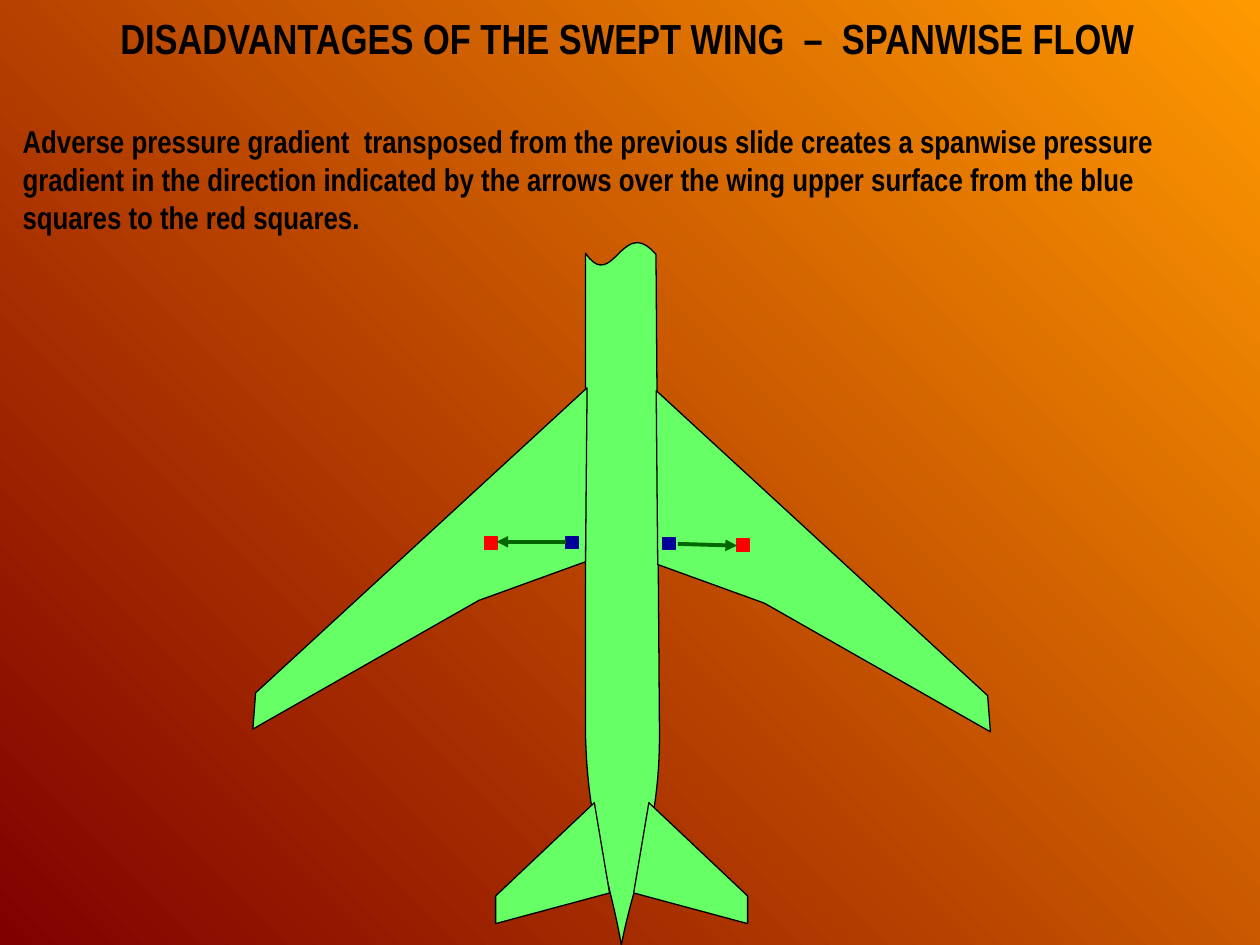
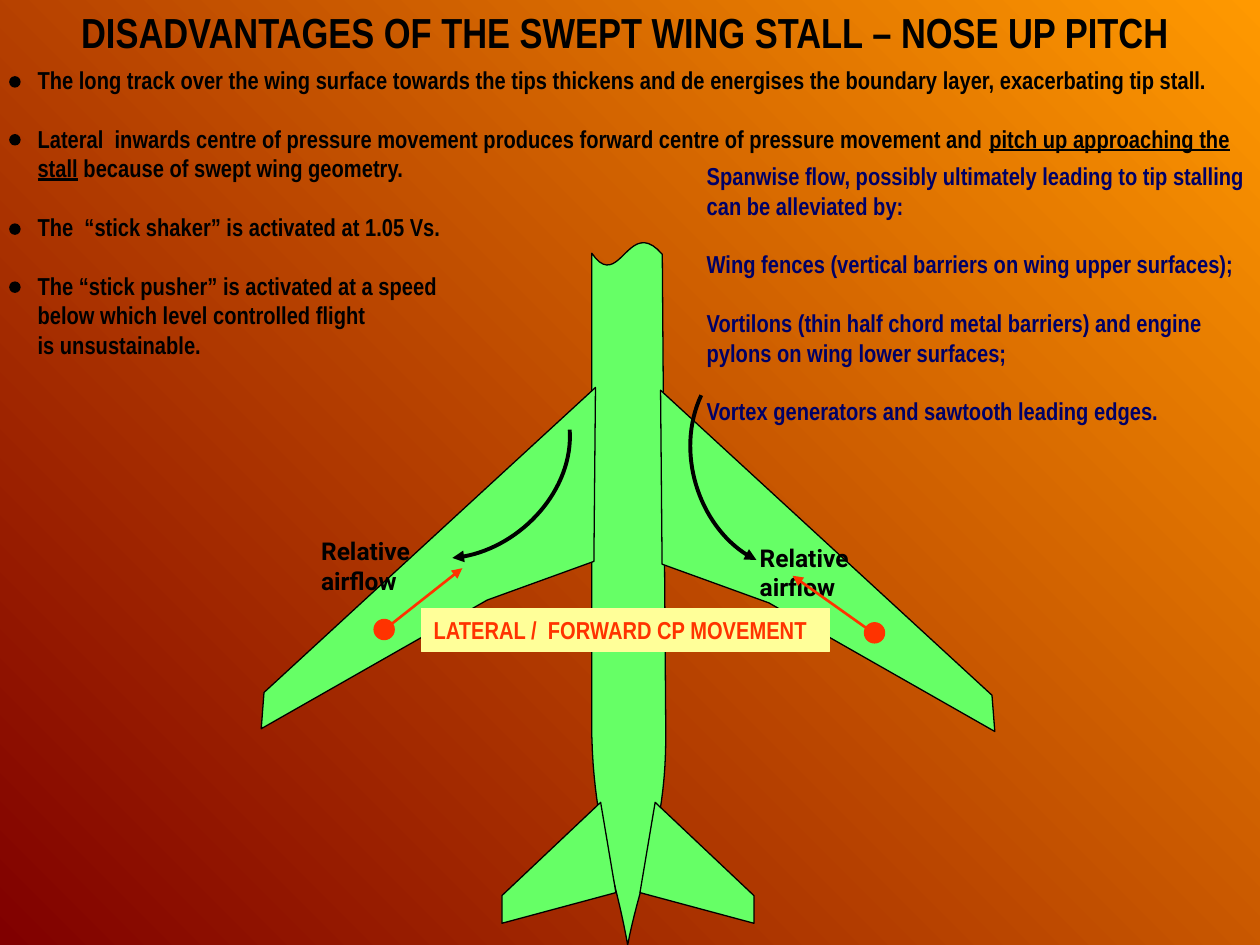
from dataclasses import dataclass

from lxml import etree
from pptx import Presentation
from pptx.dml.color import RGBColor
from pptx.enum.shapes import MSO_CONNECTOR, MSO_SHAPE
from pptx.enum.text import MSO_ANCHOR, PP_ALIGN
from pptx.oxml.ns import qn
from pptx.util import Pt

RECT, OVAL = MSO_SHAPE.RECTANGLE, MSO_SHAPE.OVAL
STRAIGHT, CURVE = MSO_CONNECTOR.STRAIGHT, MSO_CONNECTOR.CURVE
LEFT, CENTER, TOP = PP_ALIGN.LEFT, PP_ALIGN.CENTER, MSO_ANCHOR.TOP

BLACK = RGBColor(0x00, 0x00, 0x00)
ORANGE = RGBColor(0xFF, 0x99, 0x00)
MAROON = RGBColor(0x80, 0x00, 0x00)
GREEN = RGBColor(0x66, 0xFF, 0x66)
DARK_GREEN = RGBColor(0x00, 0x66, 0x00)
RED = RGBColor(0xFF, 0x00, 0x00)
BLUE = RGBColor(0x00, 0x00, 0x99)
NAVY = RGBColor(0x00, 0x00, 0x66)
VERMILION = RGBColor(0xFF, 0x33, 0x00)
CREAM = RGBColor(0xFF, 0xFF, 0x99)

NARROW, ROBOTO = "Arial Narrow", "Roboto"
LINE_GAP = 16.75  # one line of 14 pt text

Point = tuple[float, float]

# Outlines of the right-hand half, measured from the leading edge at the root
WING = [(0, 0), (189.4, 174.3), (191, 195), (61.9, 121.5), (0.9, 99.4)]
TAILPLANE = [(0, 0), (56.4, 53.3), (56.4, 69.1), (-8.7, 51.6)]


@dataclass
class Box:
    x: float
    y: float
    w: float
    h: float


@dataclass
class Para:
    text: str
    gap: bool = False
    underlined: str = ""


@dataclass
class Style:
    size: float = 14
    color: RGBColor = BLACK
    font: str = NARROW
    align: PP_ALIGN = LEFT


@dataclass
class Marker:
    kind: MSO_SHAPE
    x: float
    y: float
    size: float
    color: RGBColor


@dataclass
class Arrow:
    start: Point
    end: Point
    color: RGBColor
    width: float = 2.25
    turn: float | None = None  # clockwise degrees; makes the arrow a single bend
    tip: str = "tailEnd"


@dataclass
class Aircraft:
    fuselage_x: float
    right_wing: Point
    left_wing: Point
    right_tail: Point
    left_tail: Point


TITLE = Style(24, align=CENTER)


def paint(shape, fill: RGBColor, line: RGBColor) -> None:
    shape.shadow.inherit = False
    shape.fill.solid()
    shape.fill.fore_color.rgb = fill
    shape.line.color.rgb = line
    shape.line.width = Pt(0.75)


def write(tf, paras: list[Para], style: Style) -> None:
    tf.word_wrap = True
    tf.vertical_anchor = TOP
    for i, para in enumerate(paras):
        p = tf.add_paragraph() if i else tf.paragraphs[0]
        p.alignment = style.align
        if para.gap:
            p.space_before = Pt(LINE_GAP)
        parts = para.text.partition(para.underlined) if para.underlined else [para.text]
        for part in parts:
            r = p.add_run()
            r.text = part
            r.font.name, r.font.size, r.font.bold = style.font, Pt(style.size), True
            r.font.color.rgb = style.color
            if part == para.underlined:
                r.font.underline = True


def add_text(s, box: Box, paras: list[Para], style: Style = Style()) -> None:
    tb = s.shapes.add_textbox(Pt(box.x), Pt(box.y), Pt(box.w), Pt(box.h))
    write(tb.text_frame, paras, style)


def add_title(s, text: str, x: float, y: float) -> None:
    add_text(s, Box(x, y, 714.2, 36), [Para(text)], TITLE)


def add_box(s, kind: MSO_SHAPE, box: Box, color: RGBColor):
    sp = s.shapes.add_shape(kind, Pt(box.x), Pt(box.y), Pt(box.w), Pt(box.h))
    paint(sp, color, color)
    return sp


def add_markers(s, markers: list[Marker]) -> None:
    for m in markers:
        add_box(s, m.kind, Box(m.x, m.y, m.size, m.size), m.color)


def add_arrow(s, a: Arrow) -> None:
    kind = STRAIGHT if a.turn is None else CURVE
    c = s.shapes.add_connector(kind, *(Pt(v) for v in a.start + a.end))
    c.line.color.rgb = a.color
    c.line.width = Pt(a.width)
    sp_pr = c._element.spPr
    etree.SubElement(sp_pr.find(qn("a:ln")), qn(f"a:{a.tip}"), type="triangle")
    etree.SubElement(sp_pr, qn("a:effectLst"))
    if a.turn is not None:
        sp_pr.find(qn("a:prstGeom")).set("prst", "curvedConnector2")
        sp_pr.find(qn("a:xfrm")).set("rot", str(int(a.turn * 60000)))


def bezier(p0: Point, p1: Point, p2: Point, p3: Point, steps: int = 20) -> list[Point]:
    """Points along a cubic curve, both ends included."""
    points = []
    for i in range(steps + 1):
        t = i / steps
        u = 1 - t
        weights = (u**3, 3 * u * u * t, 3 * u * t * t, t**3)
        points.append(tuple(sum(w * p[k] for w, p in zip(weights, (p0, p1, p2, p3)))
                            for k in (0, 1)))
    return points


FUSELAGE = (
    bezier((40.3, 145.4), (20.9, 122.4), (15.8, 167.8), (0, 144.7))
    + bezier((0, 420.5), (1.4, 474.5), (13.7, 500.4), (20.5, 540))
    + bezier((20.5, 540), (28.1, 500.4), (42, 475.9), (42.3, 421.9))
)


def add_outline(s, outline: list[Point], origin: Point, side: int = 1) -> None:
    """Draw an outline from its origin; side -1 mirrors it to the left."""
    points = [(Pt(origin[0] + side * x), Pt(origin[1] + y)) for x, y in outline]
    builder = s.shapes.build_freeform(*points[0])
    builder.add_line_segments(points[1:], close=True)
    paint(builder.convert_to_shape(), GREEN, BLACK)


def add_aircraft(s, a: Aircraft) -> None:
    add_outline(s, FUSELAGE, (a.fuselage_x, 0))
    add_outline(s, WING, a.right_wing)
    add_outline(s, WING, a.left_wing, -1)
    add_outline(s, TAILPLANE, a.left_tail, -1)
    add_outline(s, TAILPLANE, a.right_tail)


def spanwise_flow(s) -> None:
    add_title(s, "DISADVANTAGES OF THE SWEPT WING  –  SPANWISE FLOW", 1.4, 3.6)
    add_aircraft(s, Aircraft(334.6, (375, 223.2), (335.5, 221.6),
                             (370.8, 458.7), (339.6, 458.7)))
    add_markers(s, [
        Marker(RECT, x, y, 7.2, color) for x, y, color in (
            (277, 306.7, RED), (323.2, 306.4, BLUE), (421, 308, RED), (378.7, 307, BLUE))
    ])
    add_arrow(s, Arrow((323.3, 309.6), (283.7, 309.6), DARK_GREEN))
    add_arrow(s, Arrow((387.4, 310.8), (421.2, 311.8), DARK_GREEN))
    add_text(s, Box(5.8, 66.2, 707.8, 72), [Para(
        "Adverse pressure gradient  transposed from the previous slide creates a spanwise "
        "pressure gradient in the direction indicated by the arrows over the wing upper "
        "surface from the blue squares to the red squares.")], Style(18))


def nose_up_pitch(s) -> None:
    add_aircraft(s, Aircraft(338.2, (377.5, 223), (340.3, 221.4),
                             (374.4, 458.5), (343.2, 458.5)))
    for x, y in ((427, 306.7), (176.4, 303)):
        add_text(s, Box(x, y, 109.4, 23.8), [Para("Relative airflow")], Style(font=ROBOTO))
    add_arrow(s, Arrow((257.8, 246.2), (326.2, 318.2), BLACK, turn=86))
    add_arrow(s, Arrow((382.3, 236.9), (450.7, 308.9), BLACK, turn=205, tip="headEnd"))
    add_text(s, Box(14.4, 33.8, 712.8, 175), [
        Para("The long track over the wing surface towards the tips thickens and de energises "
             "the boundary layer, exacerbating tip stall."),
        Para("Lateral  inwards centre of pressure movement produces forward centre of pressure "
             "movement and pitch up approaching the stall because of swept wing geometry.",
             True, "pitch up approaching the stall"),
        Para("The  “stick shaker” is activated at 1.05 Vs.", True),
        Para("The “stick pusher” is activated at a speed", True),
        Para("below which level controlled flight"),
        Para("is unsustainable."),
    ])
    add_title(s, "DISADVANTAGES OF THE SWEPT WING STALL – NOSE UP PITCH", 0, 0)
    add_markers(s, [Marker(OVAL, x, y, 11.5, VERMILION)
                    for x, y in ((213.8, 354), (494, 355.9))])
    add_arrow(s, Arrow((220.3, 359.3), (264.2, 324.7), VERMILION, 1.5))
    add_arrow(s, Arrow((499.7, 362.2), (452.9, 329), VERMILION, 1.5))
    banner = add_box(s, RECT, Box(240.7, 347.8, 233.3, 24.5), CREAM)
    write(banner.text_frame, [Para("LATERAL /  FORWARD CP MOVEMENT")], Style(color=VERMILION))
    add_markers(s, [Marker(OVAL, 5.6, y, 5.8, BLACK) for y in (43.9, 77, 128, 161.2)])
    add_text(s, Box(396.7, 88.6, 322.6, 157.7), [
        Para("Spanwise flow, possibly ultimately leading to tip stalling"),
        Para("can be alleviated by:"),
        Para("Wing fences (vertical barriers on wing upper surfaces);", True),
        Para("Vortilons (thin half chord metal barriers) and engine", True),
        Para("pylons on wing lower surfaces;"),
        Para("Vortex generators and sawtooth leading edges.", True),
    ], Style(color=NAVY))


def set_background(master) -> None:
    fill = master.background.fill
    fill.gradient()
    fill.gradient_angle = 225
    for stop, color in zip(fill.gradient_stops, (ORANGE, MAROON)):
        stop.color.rgb = color


def main() -> None:
    prs = Presentation()
    prs.slide_width, prs.slide_height = Pt(720), Pt(540)
    set_background(prs.slide_master)
    for draw in (spanwise_flow, nose_up_pitch):
        draw(prs.slides.add_slide(prs.slide_layouts[6]))
    prs.save("out.pptx")


if __name__ == "__main__":
    main()
